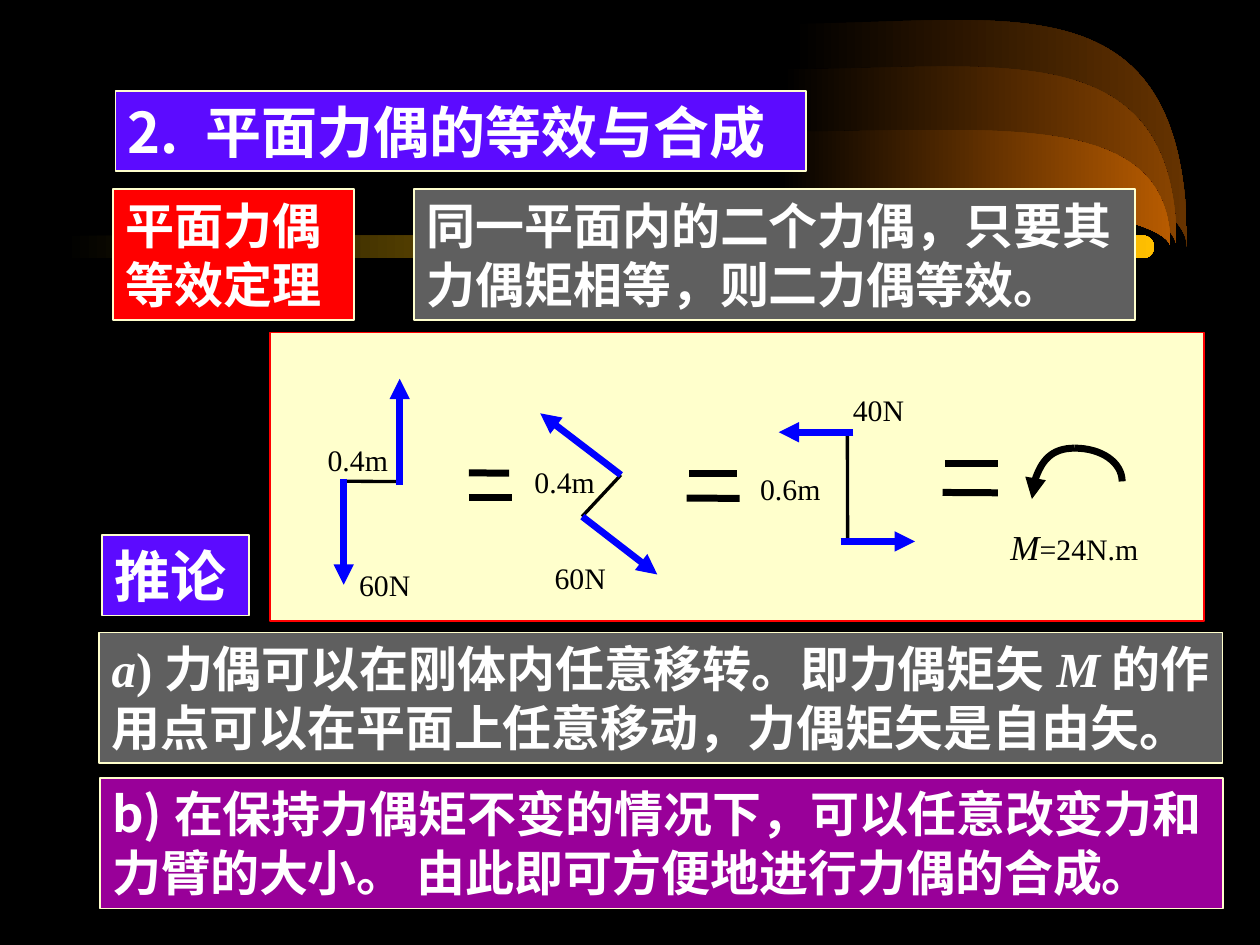
import pptx
import pptx.dml.color
import pptx.enum.shapes
import pptx.enum.text
import pptx.oxml
import pptx.oxml.ns
import pptx.util

Pt = pptx.util.Pt
SHAPE = pptx.enum.shapes.MSO_SHAPE
AUTO_SIZE = pptx.enum.text.MSO_AUTO_SIZE
NS = pptx.oxml.ns.nsdecls("a")

COLORS = {
    "black": "000000", "white": "FFFFFF", "cream": "FFFFCC", "red": "FF0000",
    "violet": "5C0BFF", "purple": "990099", "gray": "5F5F5F", "force": "0000FF",
    "gold": "FFBF00", "brown": "663300", "rust": "894400", "orange": "B75B00",
}
CJK, ROMAN = "Noto Sans CJK SC", "Times New Roman"

# Background sweeps: left, top edge, lower edge, colour at the right
SWEEPS = [
    (453, 13.5, 78.5, "brown"),
    (447, 39.6, 91.6, "rust"),
    (443.5, 75.2, 108.7, "orange"),
]
SWEEP_WIDTH, SWEEP_TIP = 225.4, 141.6
BAR = (36, 134.6, 623.5, 13)
PANEL = (154.2, 190, 533.8, 165)

# Text boxes: place, fill, size, runs of (text, font, italic)
BOXES = [
    ((66, 51.9, 394.6, 46), "violet", 32, [("2. 平面力偶的等效与合成", CJK, False)]),
    ((57.1, 444.4, 642, 74.8), "purple", 28,
     [("b)在保持力偶矩不变的情况下，可以任意改变力和力臂的大小。 由此即可方便地进行力偶的合成。",
       CJK, False)]),
    ((64.6, 108, 137.5, 74.8), "red", 28, [("平面力偶等效定理", CJK, False)]),
    ((236.6, 108, 411.8, 74.8), "gray", 28,
     [("同一平面内的二个力偶，只要其力偶矩相等，则二力偶等效。", CJK, False)]),
    ((56.7, 361.4, 642, 74.8), "gray", 28, [
        ("a", ROMAN, True),
        (")", ROMAN, False),
        ("力偶可以在刚体内任意移转。即力偶矩矢", CJK, False),
        ("M", ROMAN, True),
        ("的作用点可以在平面上任意移动，力偶矩矢是自由矢。", CJK, False),
    ]),
    ((58.2, 305.7, 84.2, 46), "violet", 32, [("推论", CJK, False)]),
]

# Lines as x1, y1, x2, y2
ARMS = [
    (196.6, 275, 228.2, 275.2),
    (332.6, 295.2, 354.8, 271.4),
    (484.2, 247, 484.4, 309.6),
]
FORCES = [
    (228.4, 277.2, 228.4, 216.5),
    (196.4, 273.6, 196.4, 334.1),
    (354.8, 271.4, 308.7, 236.2),
    (332.8, 295.2, 375.6, 328.3),
    (487.6, 247, 445, 247),
    (480.4, 309.4, 522.9, 309.4),
]
EQUALS = [
    (267.9, 270.2, 291, 270.4),
    (267.9, 284.4, 292.5, 284.4),
    (393.8, 270.6, 421.2, 270.6),
    (392.4, 284.6, 422.6, 284.8),
    (540, 264.9, 570.2, 264.9),
    (538.6, 281.4, 570.2, 281.6),
]

# Moment arc in two quarters: box, curve, centre, arrowhead at the start
ARC = [
    ((589.7, 256.1, 24.5, 29.3),
     [(589.7, 285.2), (589.7, 269.3), (600.5, 256.1), (614.2, 256.1)], (614.2, 285.4), True),
    ((614.2, 256.1, 27, 19),
     [(614.2, 256.1), (629.3, 256.1), (641.2, 264.2), (641.2, 275.1)], (614.2, 275.1), False),
]

# Labels: left, top, width, runs of (text, size, italic)
LABELS = [
    (205.2, 324, 29.5, [("60N", 17, False)]),
    (187.2, 252.2, 34.6, [("0.4m", 17, False)]),
    (305.4, 265, 34.6, [("0.4m", 17, False)]),
    (316.9, 319.7, 29.5, [("60N", 17, False)]),
    (434.3, 269.3, 34.6, [("0.6m", 17, False)]),
    (487.3, 223.9, 29.5, [("40N", 17, False)]),
    (577.4, 300.2, 73.4, [("M", 20, True), ("=24N.m", 17, False)]),
]


def rgb(name):
    return pptx.dml.color.RGBColor.from_string(COLORS[name])


def gradient(s, end):
    """Fill a shape from black at the left to the end colour, without outline."""
    s.shadow.inherit = False
    s.line.fill.background()
    s.fill.gradient()
    s.fill.gradient_angle = 0
    for stop, name in zip(s.fill.gradient_stops, ("black", end)):
        stop.color.rgb = rgb(name)


def curved_shape(shapes, box, curve, corners):
    """Freeform with an open curve for the outline and a closed one for the fill.

    The curve is a start point, then three points for each cubic segment.
    """
    left, top, width, height = box
    right, bottom = left + width, top + height
    fb = shapes.build_freeform(Pt(left), Pt(top), scale=1.0)
    fb.add_line_segments([(Pt(right), Pt(top)), (Pt(right), Pt(bottom)),
                          (Pt(left), Pt(bottom))])
    s = fb.convert_to_shape()
    s.shadow.inherit = False

    def step(tag, *points):
        pts = "".join(f'<a:pt x="{Pt(x - left)}" y="{Pt(y - top)}"/>' for x, y in points)
        return f"<a:{tag}>{pts}</a:{tag}>"

    outline = step("moveTo", curve[0]) + "".join(
        step("cubicBezTo", *curve[i:i + 3]) for i in range(1, len(curve), 3))
    area = outline + "".join(step("lnTo", c) for c in corners) + "<a:close/>"
    size = f'w="{Pt(width)}" h="{Pt(height)}"'
    paths = s._element.spPr.find(".//" + pptx.oxml.ns.qn("a:pathLst"))
    paths.getparent().replace(paths, pptx.oxml.parse_xml(
        f'<a:pathLst {NS}><a:path {size} fill="none">{outline}</a:path>'
        f'<a:path {size} stroke="0">{area}</a:path></a:pathLst>'))
    return s


def arrowhead(s, end):
    s.line._get_or_add_ln().append(
        pptx.oxml.parse_xml(f'<a:{end} {NS} type="triangle"/>'))


def connector(shapes, ends, color, width, arrow=False):
    s = shapes.add_connector(pptx.enum.shapes.MSO_CONNECTOR.STRAIGHT, *map(Pt, ends))
    s.line.color.rgb = rgb(color)
    s.line.width = Pt(width)
    if arrow:
        arrowhead(s, "tailEnd")
    s._element.spPr.append(pptx.oxml.parse_xml(f"<a:effectLst {NS}/>"))


def rectangle(shapes, place, fill, line):
    s = shapes.add_shape(SHAPE.RECTANGLE, *map(Pt, place))
    s.shadow.inherit = False
    s.fill.solid()
    s.fill.fore_color.rgb = rgb(fill)
    s.line.color.rgb = rgb(line)
    s.line.width = Pt(1)
    return s


def add_run(p, text, font, size, color, bold, italic):
    r = p.add_run()
    r.text = text
    r.font.name = font
    r.font.size = Pt(size)
    r.font.bold = bold
    r.font.italic = italic
    r.font.color.rgb = rgb(color)
    r.font._element.find(pptx.oxml.ns.qn("a:latin")).addnext(
        pptx.oxml.parse_xml(f'<a:ea {NS} typeface="{font}"/>'))


def main():
    prs = pptx.Presentation()
    prs.slide_width, prs.slide_height = Pt(720), Pt(540)
    slide = prs.slides.add_slide(prs.slide_layouts[6])
    slide.background.fill.solid()
    slide.background.fill.fore_color.rgb = rgb("black")
    shapes = slide.shapes

    for left, top, low, color in SWEEPS:
        right, mid = left + SWEEP_WIDTH, left + 124.6
        rise = SWEEP_TIP - low
        bend = 0.45 * rise
        curve = [(left, low), (mid, low), (right, low + bend), (right, SWEEP_TIP),
                 (right, top - bend), (mid, top), (left, top)]
        gradient(curved_shape(shapes, (left, low, SWEEP_WIDTH, 2 * rise), curve,
                              [(left, SWEEP_TIP), (left, low)]), color)
    bar = shapes.add_shape(SHAPE.ROUNDED_RECTANGLE, *map(Pt, BAR))
    bar.adjustments[0] = 0.5
    gradient(bar, "gold")

    rectangle(shapes, PANEL, "cream", "red")
    for place, fill, size, runs in BOXES:
        tf = rectangle(shapes, place, fill, "cream").text_frame
        tf.word_wrap = True
        tf.auto_size = AUTO_SIZE.SHAPE_TO_FIT_TEXT
        tf.vertical_anchor = pptx.enum.text.MSO_ANCHOR.TOP
        p = tf.paragraphs[0]
        p.alignment = pptx.enum.text.PP_ALIGN.LEFT
        for text, font, italic in runs:
            add_run(p, text, font, size, "white", True, italic)

    for ends in ARMS:
        connector(shapes, ends, "black", 1.9)
    for ends in FORCES:
        connector(shapes, ends, "force", 3.88, arrow=True)
    for ends in EQUALS:
        connector(shapes, ends, "black", 4)
    for box, curve, center, has_head in ARC:
        s = curved_shape(shapes, box, curve, [center, curve[0]])
        s.fill.background()
        s.line.color.rgb = rgb("black")
        s.line.width = Pt(4)
        if has_head:
            arrowhead(s, "headEnd")

    for left, top, width, runs in LABELS:
        height = 1.2 * max(size for _, size, _ in runs)
        tf = shapes.add_textbox(Pt(left), Pt(top), Pt(width), Pt(height)).text_frame
        tf.margin_left = tf.margin_right = tf.margin_top = tf.margin_bottom = 0
        tf.word_wrap = False
        tf.auto_size = AUTO_SIZE.SHAPE_TO_FIT_TEXT
        for text, size, italic in runs:
            add_run(tf.paragraphs[0], text, ROMAN, size, "black", False, italic)

    prs.save("out.pptx")


if __name__ == "__main__":
    main()
